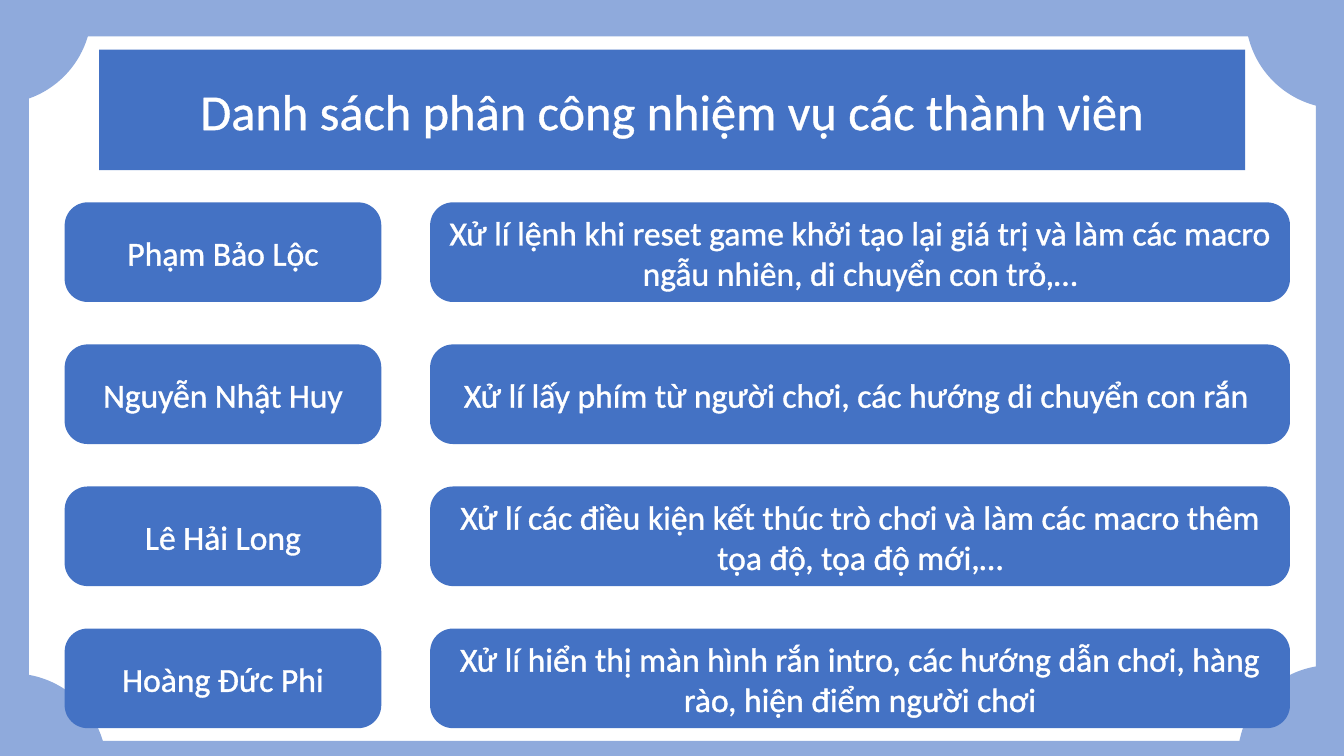
from pptx import Presentation
from pptx.dml.color import RGBColor
from pptx.enum.shapes import MSO_SHAPE as Kind
from pptx.enum.text import MSO_ANCHOR as Anchor, MSO_AUTO_SIZE as Fit, PP_ALIGN as Align
from pptx.oxml import parse_xml
from pptx.oxml.ns import nsdecls
from pptx.util import Cm, Pt

PALE, BLUE, WHITE = "8FAADC", "4472C4", "FFFFFF"

TITLE = "Danh sách phân công nhiệm vụ các thành viên"
TASKS = [
    ("Phạm Bảo Lộc",
     "Xử lí lệnh khi reset game khởi tạo lại giá trị và làm các macro ngẫu nhiên, di chuyển con trỏ,…"),
    ("Nguyễn Nhật Huy",
     "Xử lí lấy phím từ người chơi, các hướng di chuyển con rắn "),
    ("Lê Hải Long",
     "Xử lí các điều kiện kết thúc trò chơi và làm các macro thêm tọa độ, tọa độ mới,…"),
    ("Hoàng Đức Phi",
     "Xử lí hiển thị màn hình rắn intro, các hướng dẫn chơi, hàng rào, hiện điểm người chơi"),
]

# Frame, in cm: left, top, width, height, turn
BARS = [
    (-1.7, -0.43, 37.54, 1.35, 0),
    (-1.7, 18.67, 37.54, 1.35, 0),
    (-11.35, 9.14, 22.81, 1.35, 90),
    (22.43, 9.14, 22.81, 1.35, 90),
]
DISC = 4.75
DISCS = [(-2.44, -2.13), (31.39, -2.01), (31.19, 16.76), (-2.06, 16.97)]

# Rows, in cm
TOP, STEP, HIGH = 5.1, 3.58, 2.51
COLS = [(1.63, 7.98), (10.84, 21.67)]


def color(code):
    return RGBColor.from_string(code)


def style(item, values):
    for name, value in values.items():
        setattr(item, name, value)


def paint(shape, code):
    shape.fill.solid()
    shape.fill.fore_color.rgb = color(code)
    shape.line.fill.background()
    shape.shadow.inherit = False


def draw(slide, kind, box, code, turn=0):
    shape = slide.shapes.add_shape(kind, *map(Cm, box))
    shape.rotation = turn
    paint(shape, code)
    return shape


def label(shape, text, size):
    """Fill a rounded box with centred, outlined text."""
    shape.adjustments[0] = 0.231
    frame = shape.text_frame
    style(frame, {"word_wrap": True, "auto_size": Fit.NONE,
                  "vertical_anchor": Anchor.MIDDLE})
    para = frame.paragraphs[0]
    para.alignment = Align.CENTER
    run = para.add_run()
    run.text = text
    style(run.font, {"name": "Calibri", "size": Pt(size)})
    run.font.color.rgb = color(WHITE)
    edge = parse_xml(f'<a:ln {nsdecls("a")} w="{Pt(0.75)}"><a:solidFill>'
                     f'<a:srgbClr val="{WHITE}"/></a:solidFill></a:ln>')
    run.font._element.insert(0, edge)


def head(slide):
    title = slide.shapes.title
    style(title, {"left": Cm(2.5), "top": Cm(1.25),
                  "width": Cm(28.88), "height": Cm(3.04)})
    title._element.spPr.append(parse_xml(
        f'<a:prstGeom {nsdecls("a")} prst="roundRect"><a:avLst/></a:prstGeom>'))
    paint(title, BLUE)
    label(title, TITLE, 36)


def main():
    prs = Presentation()
    style(prs, {"slide_width": Cm(33.87), "slide_height": Cm(19.05)})
    slide = prs.slides.add_slide(prs.slide_layouts[5])

    # Pale frame with round corners
    for *box, turn in BARS:
        draw(slide, Kind.RECTANGLE, box, PALE, turn)
    for left, top in DISCS:
        draw(slide, Kind.OVAL, (left, top, DISC, DISC), PALE)

    # Members and their tasks
    for row, texts in enumerate(TASKS):
        for (left, width), text in zip(COLS, texts):
            box = (left, TOP + row * STEP, width, HIGH)
            label(draw(slide, Kind.ROUNDED_RECTANGLE, box, BLUE), text, 24)

    # Title
    head(slide)
    prs.save("out.pptx")


if __name__ == "__main__":
    main()
